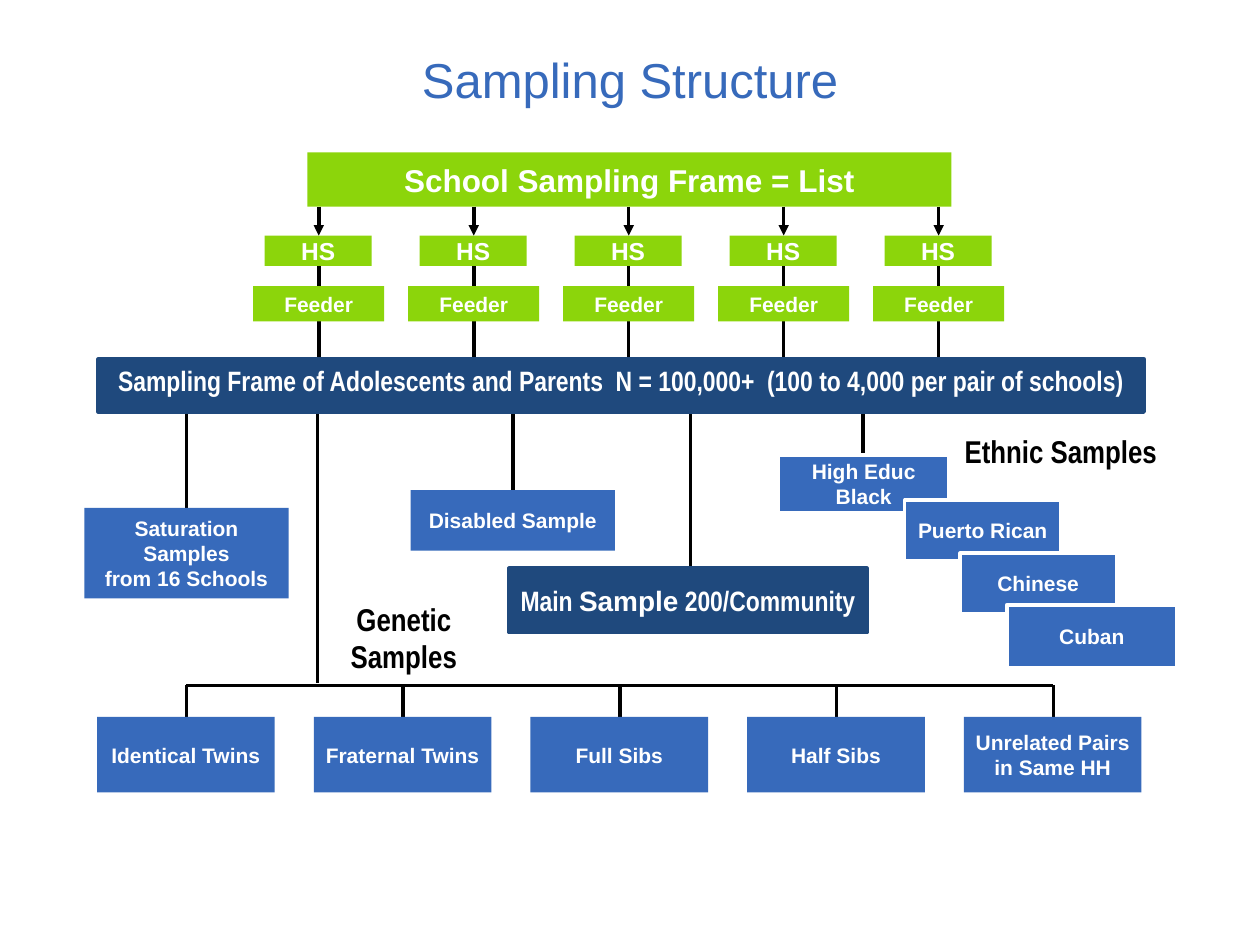
from lxml.etree import SubElement
from pptx import Presentation
from pptx.dml.color import RGBColor
from pptx.enum.shapes import MSO_CONNECTOR, MSO_SHAPE
from pptx.enum.text import MSO_ANCHOR, PP_ALIGN
from pptx.oxml.ns import qn
from pptx.util import Inches, Pt

BLUE = RGBColor(0x37, 0x6A, 0xBB)
NAVY = RGBColor(0x1F, 0x49, 0x7D)
GREEN = RGBColor(0x8C, 0xD5, 0x0B)
WHITE = RGBColor(0xFF, 0xFF, 0xFF)
BLACK = RGBColor(0, 0, 0)
SANS, NARROW = "Arial", "Arial Narrow"

TITLE = "Sampling Structure"
SCHOOL_FRAME = "School Sampling Frame = List"
PERSON_FRAME = ("Sampling Frame of Adolescents and Parents  N = 100,000+  "
                "(100 to 4,000 per pair of schools)")
SCHOOL_PAIRS = 5
GENETIC_SAMPLES = [["Identical Twins"], ["Fraternal Twins"], ["Full Sibs"],
                   ["Half Sibs"], ["Unrelated Pairs", "in Same HH"]]
# lines of text, left, top, width, height
ETHNIC_SAMPLES = [
    (["High Educ", "Black"], 6.18, 3.61, 1.35, 0.46),
    (["Puerto Rican"], 7.18, 3.97, 1.24, 0.48),
    (["Chinese"], 7.62, 4.39, 1.24, 0.48),
    (["Cuban"], 7.99, 4.8, 1.35, 0.5),
]
OTHER_SAMPLES = [
    (["Disabled Sample"], 3.26, 3.89, 1.62, 0.48),
    (["Saturation", "Samples", "from 16 Schools"], 0.67, 4.03, 1.62, 0.72),
]
GROUP_LABELS = [
    (["Ethnic Samples"], 7.42, 3.38, 2, 0.4),
    (["Genetic", "Samples"], 2.38, 4.71, 1.65, 0.7),
]
MAIN_SAMPLE = [("Main ", NARROW), ("Sample", SANS), (" 200/Community", NARROW)]

PAIR_X, PAIR_STEP = 2.53, 1.23
GENETIC_X, GENETIC_STEP = 1.48, 1.72
SCHOOL_BOTTOM, HS_TOP, FEEDER_TOP = 1.64, 1.87, 2.27
FRAME_TOP, FRAME_BOTTOM = 2.85, 3.26
RAIL_Y, GENETIC_TOP = 5.44, 5.69
# x and lower end of each branch below the person frame
BRANCHES = [(1.48, 4.03), (2.52, 5.42), (4.07, 3.89), (5.48, 4.51), (6.85, 3.61)]

prs = Presentation()
prs.slide_width, prs.slide_height = Inches(10), Inches(7.5)
slide = prs.slides.add_slide(prs.slide_layouts[5])
shapes = slide.shapes


def add_run(paragraph, text, size, font=SANS, color=WHITE, bold=True):
    run = paragraph.add_run()
    run.text = text
    run.font.size = Pt(size)
    run.font.name = font
    run.font.bold = bold
    run.font.color.rgb = color


def write_lines(frame, lines, size, font=SANS, color=WHITE):
    for i, line in enumerate(lines):
        paragraph = frame.add_paragraph() if i else frame.paragraphs[0]
        paragraph.alignment = PP_ALIGN.CENTER
        add_run(paragraph, line, size, font, color)


def add_box(left, top, width, height, fill, outline=None):
    """Add a rectangle and return its empty, centred text frame."""
    box = shapes.add_shape(MSO_SHAPE.RECTANGLE, Inches(left), Inches(top),
                           Inches(width), Inches(height))
    box.shadow.inherit = False
    box.fill.solid()
    box.fill.fore_color.rgb = fill
    if outline is None:
        box.line.fill.background()
    else:
        box.line.color.rgb = outline
        box.line.width = Pt(2)
    frame = box.text_frame
    frame.word_wrap = False
    frame.vertical_anchor = MSO_ANCHOR.MIDDLE
    frame.margin_left = frame.margin_right = 0
    frame.margin_top = frame.margin_bottom = 0
    frame.paragraphs[0].alignment = PP_ALIGN.CENTER
    return frame


def add_line(x1, y1, x2, y2, arrow=False):
    line = shapes.add_connector(MSO_CONNECTOR.STRAIGHT, Inches(x1), Inches(y1),
                                Inches(x2), Inches(y2))
    line.line.color.rgb = BLACK
    line.line.width = Pt(2)
    if arrow:
        SubElement(line.line._get_or_add_ln(), qn("a:tailEnd"), type="triangle")
    SubElement(line._element.spPr, qn("a:effectLst"))


title = shapes.title
title.left, title.top = Inches(0), Inches(0.34)
title.width, title.height = Inches(10), Inches(0.57)
title.text_frame.vertical_anchor = MSO_ANCHOR.MIDDLE
title.text_frame.paragraphs[0].alignment = PP_ALIGN.CENTER
add_run(title.text_frame.paragraphs[0], TITLE, 28, color=BLUE, bold=False)

# Schools: each high school is paired with a feeder school
write_lines(add_box(2.44, 1.21, 5.11, 0.43, GREEN), [SCHOOL_FRAME], 18)
for i in range(SCHOOL_PAIRS):
    x = PAIR_X + i * PAIR_STEP
    add_line(x, SCHOOL_BOTTOM, x, HS_TOP, arrow=True)
    add_line(x, HS_TOP + 0.14, x, FRAME_TOP)
    hs_left = x - 0.43
    write_lines(add_box(hs_left, HS_TOP, 0.85, 0.24, GREEN), ["HS"], 14)
    write_lines(add_box(x - 0.52, FEEDER_TOP, 1.04, 0.28, GREEN), ["Feeder"], 12)

# Adolescents and parents
for x, end in BRANCHES:
    add_line(x, FRAME_BOTTOM, x, end)
person_frame = add_box(0.78, FRAME_TOP, 8.3, 0.42, NAVY, NAVY)
write_lines(person_frame, [PERSON_FRAME], 16, NARROW)
person_frame.paragraphs[0].line_spacing = 0.6

main_sample = add_box(4.04, 4.51, 2.84, 0.51, NAVY, NAVY)
for text, font in MAIN_SAMPLE:
    add_run(main_sample.paragraphs[0], text, 16, font)
for lines, *place in OTHER_SAMPLES:
    write_lines(add_box(*place, BLUE), lines, 12)
for lines, *place in ETHNIC_SAMPLES:
    write_lines(add_box(*place, BLUE, WHITE), lines, 12)
for lines, *place in GROUP_LABELS:
    label = shapes.add_textbox(*map(Inches, place)).text_frame
    label.word_wrap = True
    write_lines(label, lines, 18, NARROW, BLACK)

# Genetic samples hang from one rail
rail_end = GENETIC_X + (len(GENETIC_SAMPLES) - 1) * GENETIC_STEP
add_line(GENETIC_X, RAIL_Y, rail_end, RAIL_Y)
for i, lines in enumerate(GENETIC_SAMPLES):
    x = GENETIC_X + i * GENETIC_STEP
    add_line(x, RAIL_Y, x, GENETIC_TOP)
    write_lines(add_box(x - 0.71, GENETIC_TOP, 1.41, 0.6, BLUE), lines, 12)

prs.save("out.pptx")
